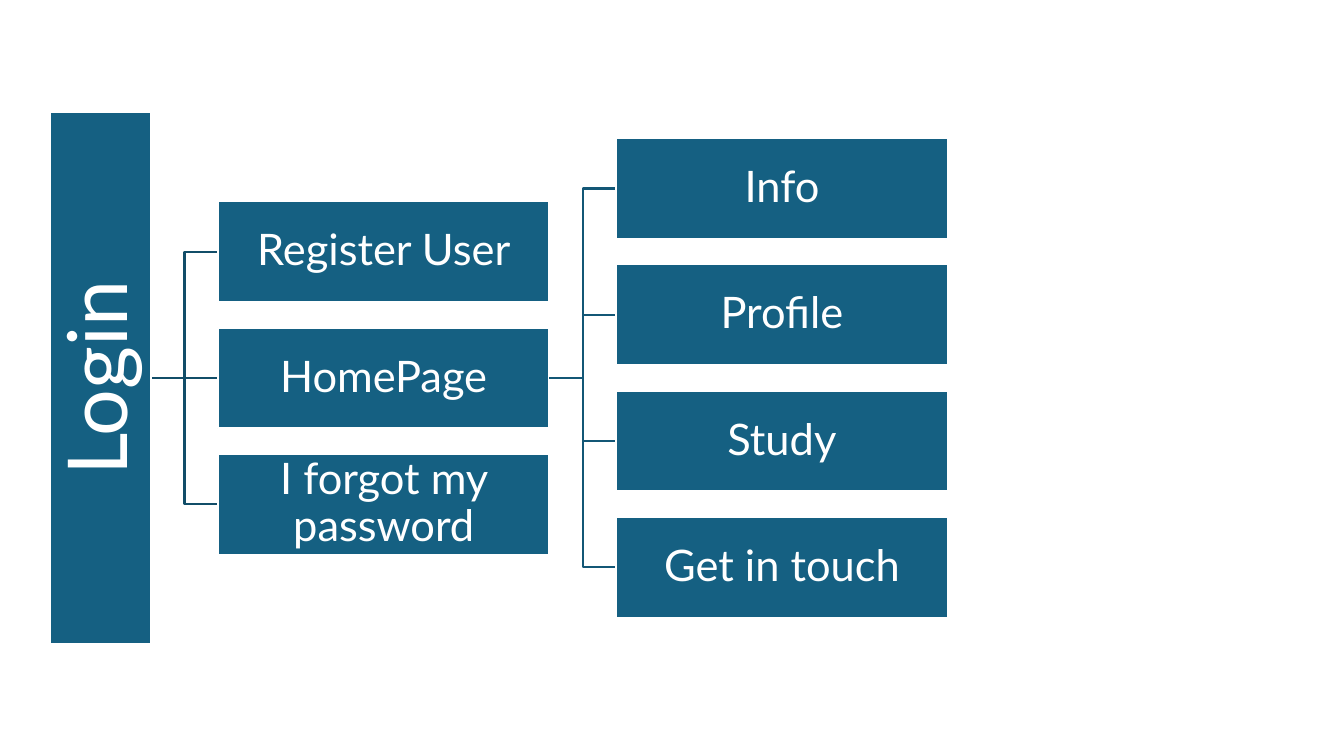
from pptx import Presentation
from pptx.dml.color import RGBColor as Rgb
from pptx.enum.shapes import MSO_CONNECTOR as Conn, MSO_SHAPE as Kind
from pptx.enum.text import MSO_ANCHOR as Anchor, PP_ALIGN as Align
from pptx.oxml.ns import qn
from pptx.util import Inches, Pt
from lxml.etree import SubElement as Sub

ROOT = "Login"
PAGES = ["Register User", "HomePage", "I forgot my password"]
VIEWS = ["Info", "Profile", "Study", "Get in touch"]
HUES = {"box": "156082", "edge": "FFFFFF", "text": "FFFFFF",
        "near": "114D68", "far": "135776"}
MID, STEP, HIGH, WIDE, GAP = 3.75, 1.253, 1, 3.29, 0.66
BAR = {"left": 0.5, "long": 5.27}
FRAME = {"word_wrap": True, "vertical_anchor": Anchor.MIDDLE}
PARA = {"alignment": Align.CENTER, "line_spacing": 0.9}
SIDES = ["margin_left", "margin_top", "margin_right", "margin_bottom"]


def hue(name):
    return Rgb.from_string(HUES[name])


def apply(item, look):
    for key, value in look.items():
        setattr(item, key, value)


def ink(line, name):
    line.color.rgb = hue(name)
    line.width = Pt(1.5)


def box(slide, text, mid_x, mid_y, wide, size, inset, turn=0):
    left, top = mid_x - wide / 2, mid_y - HIGH / 2
    shape = slide.shapes.add_shape(
        Kind.RECTANGLE, *map(Inches, (left, top, wide, HIGH)))
    shape.rotation = turn
    shape.shadow.inherit = False
    shape.fill.solid()
    shape.fill.fore_color.rgb = hue("box")
    ink(shape.line, "edge")
    frame = shape.text_frame
    apply(frame, FRAME | dict.fromkeys(SIDES, Inches(inset)))
    para = frame.paragraphs[0]
    apply(para, PARA)
    run = para.add_run()
    run.text = text
    apply(run.font, {"name": "Lato", "size": Pt(size)})
    run.font.color.rgb = hue("text")


def link(slide, left, end, name):
    right, bend = left + GAP, left + GAP / 2
    if end == MID:
        line = slide.shapes.add_connector(
            Conn.STRAIGHT, *map(Inches, (left, MID, right, MID)))
        Sub(line.element.spPr, qn("a:effectLst"))
    else:
        path = [(bend, MID), (bend, end), (right, end)]
        pen = slide.shapes.build_freeform(Inches(left), Inches(MID))
        pen.add_line_segments(
            [(Inches(x), Inches(y)) for x, y in path], close=False)
        line = pen.convert_to_shape()
        line.fill.background()
        line.shadow.inherit = False
    ink(line.line, name)


def column(slide, names, start, tone):
    for i, name in enumerate(names):
        mid_y = MID + (i - (len(names) - 1) / 2) * STEP
        link(slide, start, mid_y, tone)
        box(slide, name, start + GAP + WIDE / 2, mid_y, WIDE, 31, 0.02)
    return start + GAP + WIDE


def main():
    deck = Presentation()
    apply(deck, {"slide_width": Inches(13.33), "slide_height": Inches(7.5)})
    slide = deck.slides.add_slide(deck.slide_layouts[6])
    edge = BAR["left"] + HIGH
    next_edge = column(slide, PAGES, edge, "near")
    column(slide, VIEWS, next_edge, "far")
    box(slide, ROOT, BAR["left"] + HIGH / 2, MID, BAR["long"], 59, 0.04, 270)
    deck.save("out.pptx")


if __name__ == "__main__":
    main()
